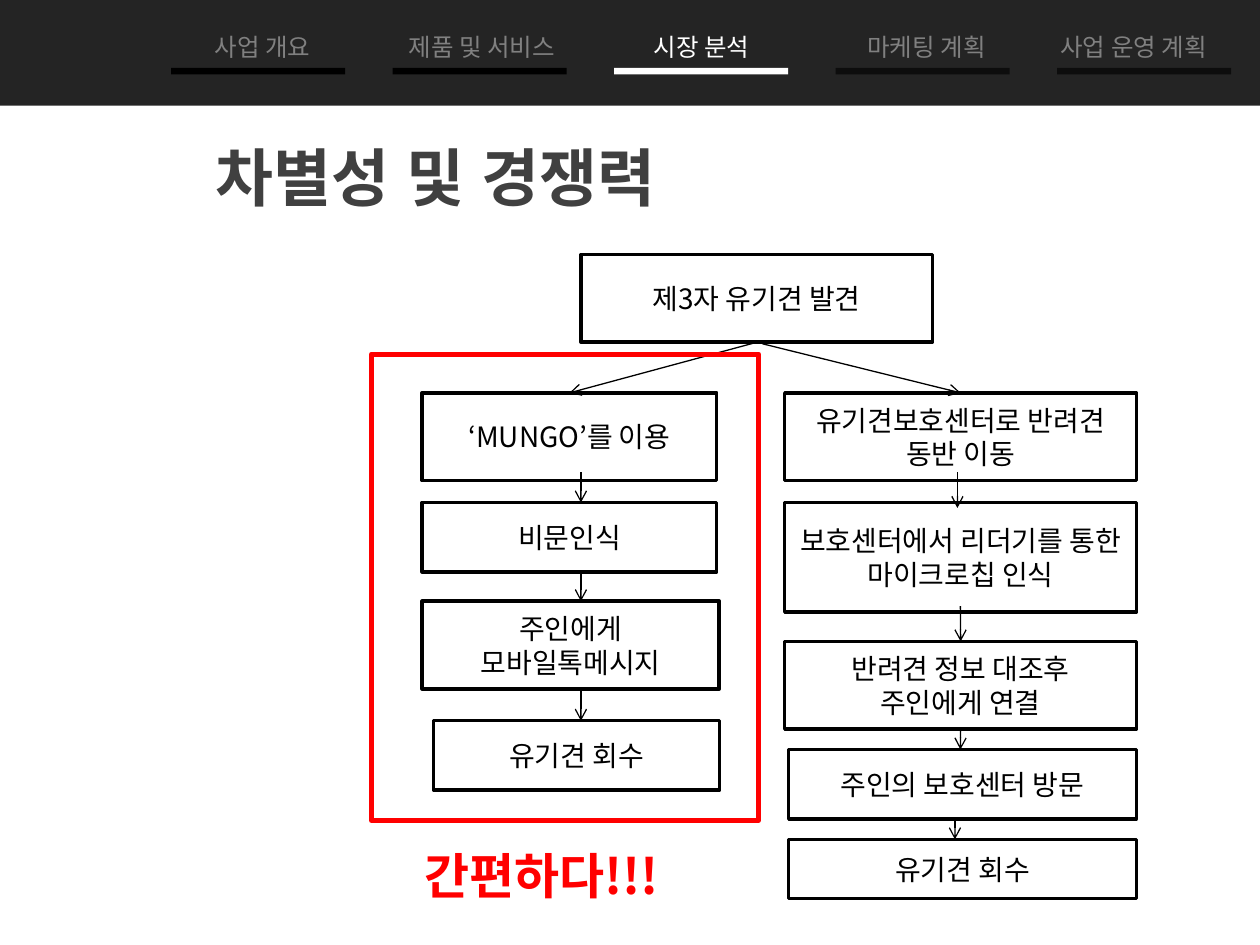
from dataclasses import dataclass
from typing import Optional

from lxml.etree import SubElement
from pptx import Presentation
from pptx.dml.color import RGBColor as Rgb
from pptx.enum.shapes import MSO_CONNECTOR as Link, MSO_SHAPE as Kind
from pptx.enum.text import MSO_ANCHOR as Anchor, PP_ALIGN as Align
from pptx.oxml.ns import qn
from pptx.util import Cm, Pt


@dataclass(frozen=True)
class Theme:
    font: str = "Noto Sans CJK KR"
    head: str = "Arial"
    black: str = "000000"
    white: str = "FFFFFF"
    red: str = "FF0000"
    band: str = "242424"
    dim: str = "0D0D0D"
    grey: str = "808080"
    dark: str = "404040"
    title: int = 36
    call: int = 28
    body: int = 16
    tab: int = 14


@dataclass(frozen=True)
class Area:
    left: float
    top: float
    width: float
    height: float

    def lengths(self) -> list:
        return [Cm(v) for v in (self.left, self.top, self.width, self.height)]


@dataclass(frozen=True)
class Step:
    key: str
    text: str
    area: Area


@dataclass(frozen=True)
class Arrow:
    start: tuple
    end: tuple
    tail: Optional[str] = None  # step whose bottom it leaves
    head: Optional[str] = None  # step whose top it meets


@dataclass(frozen=True)
class Tab:
    text: str
    left: float
    width: float
    color: str
    bar: str


T = Theme()

STEPS = [
    Step("find", "제3자 유기견 발견", Area(11.71, 5.13, 7.09, 1.77)),
    # App route
    Step("app", "‘MUNGO’를 이용", Area(8.51, 7.92, 5.94, 1.77)),
    Step("nose", "비문인식", Area(8.51, 10.13, 5.94, 1.4)),
    Step("chat", "주인에게 모바일톡메시지", Area(8.51, 12.12, 5.99, 1.77)),
    Step("back", "유기견 회수", Area(8.74, 14.53, 5.77, 1.4)),
    # Shelter route
    Step("move", "유기견보호센터로 반려견 동반 이동", Area(15.82, 7.92, 7.09, 1.77)),
    Step("chip", "보호센터에서 리더기를 통한 마이크로칩 인식",
         Area(15.82, 10.13, 7.09, 2.21)),
    Step("match", "반려견 정보 대조후 주인에게 연결", Area(15.82, 12.93, 7.09, 1.77)),
    Step("visit", "주인의 보호센터 방문", Area(15.9, 15.11, 7.01, 1.4)),
    Step("home", "유기견 회수", Area(15.9, 16.92, 7.01, 1.19)),
]

ARROWS = [
    Arrow((15.25, 6.9), (11.48, 7.92), tail="find", head="app"),
    Arrow((15.37, 6.93), (19.36, 7.92), head="move"),
    Arrow((11.71, 9.52), (11.71, 10.13)),
    Arrow((11.71, 11.53), (11.71, 12.12)),
    Arrow((11.71, 13.92), (11.71, 14.53)),
    Arrow((19.3, 9.52), (19.3, 10.24)),
    Arrow((19.36, 12.22), (19.36, 12.93), head="match"),
    Arrow((19.36, 14.7), (19.36, 15.11), tail="match"),
    Arrow((19.25, 16.48), (19.25, 16.92)),
]

TABS = [
    Tab("사업 개요", 3.91, 2.77, T.grey, T.black),
    Tab("제품 및 서비스", 7.72, 3.99, T.grey, T.black),
    Tab("시장 분석", 12.09, 4.11, T.white, T.white),
    Tab("마케팅 계획", 16.89, 3.58, T.grey, T.dim),
    Tab("사업 운영 계획", 20.9, 3.91, T.grey, T.dim),
]


def write(frame, text: str, size: int, color: str, face: str = T.font,
          bold: bool = False, align=Align.LEFT, anchor=Anchor.TOP) -> None:
    frame.word_wrap = True
    frame.vertical_anchor = anchor
    para = frame.paragraphs[0]
    para.text = text
    para.alignment = align
    font = para.font
    font.name, font.size, font.bold = face, Pt(size), bold
    font.color.rgb = Rgb.from_string(color)
    # Hangul takes the East Asian face
    props = para._p.find(".//" + qn("a:defRPr"))
    SubElement(props, qn("a:ea")).set("typeface", face)


def label(slide, area: Area, text: str, size: int, color: str, **style) -> None:
    box = slide.shapes.add_textbox(*area.lengths())
    write(box.text_frame, text, size, color, **style)


def block(slide, area: Area, fill: Optional[str] = None,
          line: Optional[str] = None, weight: float = 2):
    shape = slide.shapes.add_shape(Kind.RECTANGLE, *area.lengths())
    shape.shadow.inherit = False
    if fill:
        shape.fill.solid()
        shape.fill.fore_color.rgb = Rgb.from_string(fill)
    else:
        shape.fill.background()
    if line:
        shape.line.color.rgb = Rgb.from_string(line)
        shape.line.width = Pt(weight)
    else:
        shape.line.fill.background()
    return shape


def draw_step(slide, step: Step):
    shape = block(slide, step.area, T.white, T.black)
    write(shape.text_frame, step.text, T.body, T.black,
          align=Align.CENTER, anchor=Anchor.MIDDLE)
    return shape


def draw_arrow(slide, arrow: Arrow, nodes: dict) -> None:
    ends = [Cm(v) for v in arrow.start + arrow.end]
    line = slide.shapes.add_connector(Link.STRAIGHT, *ends)
    if arrow.tail:
        line.begin_connect(nodes[arrow.tail], 2)
    if arrow.head:
        line.end_connect(nodes[arrow.head], 0)
    line.line.color.rgb = Rgb.from_string(T.black)
    line.line.width = Pt(0.75)
    SubElement(line.line._get_or_add_ln(), qn("a:tailEnd")).set("type", "arrow")
    SubElement(line._element.spPr, qn("a:effectLst"))


def draw_tabs(slide) -> None:
    block(slide, Area(0, 0, 25.4, 2.13), T.band)
    for i, tab in enumerate(TABS):
        block(slide, Area(3.45 + 4.465 * i, 1.37, 3.51, 0.13), tab.bar)
        label(slide, Area(tab.left, 0.53, tab.width, 0.86), tab.text,
              T.tab, tab.color, align=Align.CENTER)


def main() -> None:
    deck = Presentation()
    deck.slide_width, deck.slide_height = Cm(25.4), Cm(19.05)
    slide = deck.slides.add_slide(deck.slide_layouts[6])

    # Title
    label(slide, Area(4.09, 1.91, 20.9, 3.28), "차별성 및 경쟁력", T.title,
          T.dark, face=T.head, bold=True, anchor=Anchor.MIDDLE)

    # Flow chart
    nodes = {step.key: draw_step(slide, step) for step in STEPS}
    for arrow in ARROWS:
        draw_arrow(slide, arrow, nodes)

    # Red frame and its message
    block(slide, Area(7.49, 7.14, 7.8, 9.4), line=T.red, weight=3)
    label(slide, Area(8.31, 16.92, 5.99, 1.45), "간편하다!!!", T.call, T.red,
          bold=True)

    # Navigation band
    draw_tabs(slide)
    deck.save("out.pptx")


if __name__ == "__main__":
    main()
